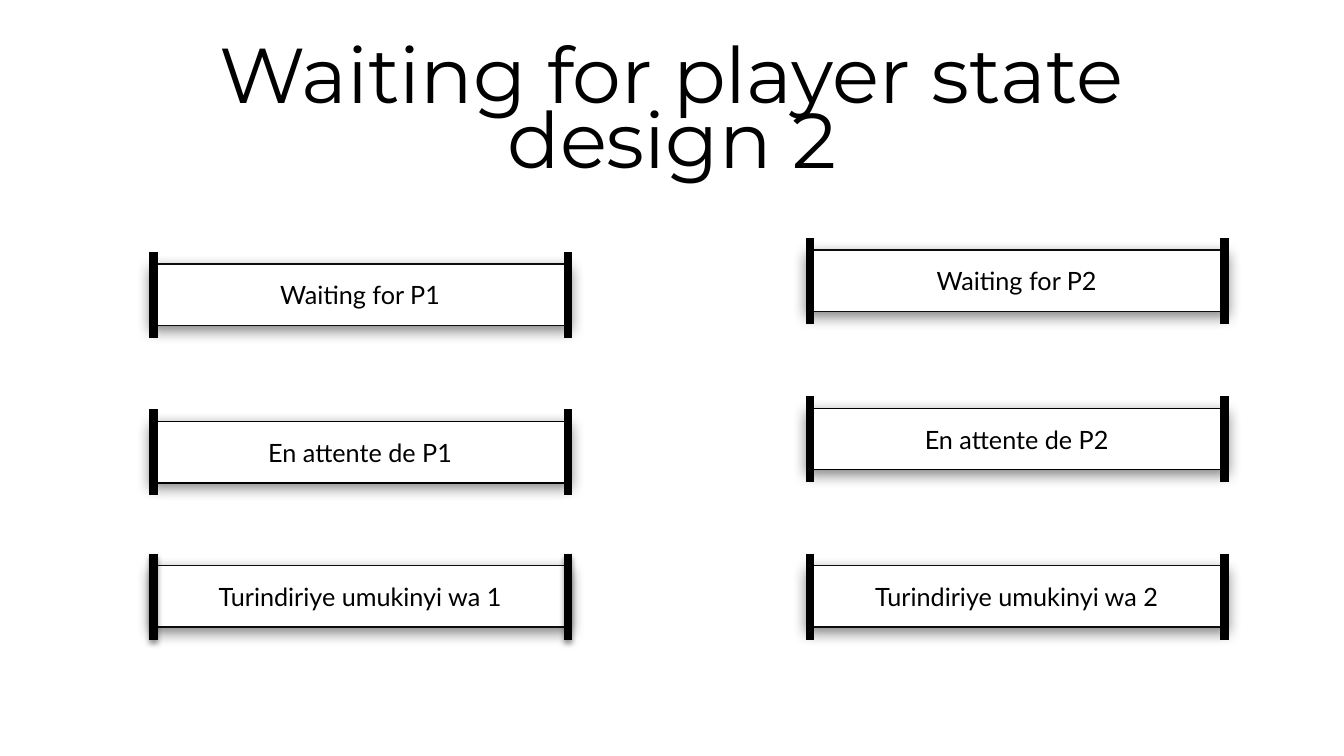
from pptx import Presentation, util as u
from pptx.dml.color import RGBColor
from pptx.enum import shapes, text
from pptx.oxml import ns, xmlchemy

Pt = u.Pt
COLORS = {"ink": "000000", "soft": "0D0D0D", "paper": "FFFFFF"}


class Deck:
    """Holds the style and the current slide."""

    body_font, title_font = "Lato", "Montserrat"

    def __init__(self, width, height):
        self.prs = Presentation()
        self.prs.slide_width, self.prs.slide_height = Pt(width), Pt(height)
        self.slide = self.prs.slides.add_slide(self.prs.slide_layouts[6])

    def color(self, name):
        return RGBColor.from_string(COLORS[name])

    def shadow(self, sp, blur=None, alpha=None):
        """Replace the theme shadow by none, or by one falling 3 pt down."""
        effects = xmlchemy.OxmlElement("a:effectLst")
        sp_pr = sp._element.spPr
        for old in sp_pr.findall(ns.qn("a:effectLst")):
            sp_pr.remove(old)
        sp_pr.append(effects)
        if blur:
            outer = xmlchemy.OxmlElement("a:outerShdw")
            for key, value in (("blurRad", Pt(blur)), ("dist", Pt(3)),
                               ("dir", 90 * 60000), ("rotWithShape", 0)):
                outer.set(key, str(value))
            clr = xmlchemy.OxmlElement("a:srgbClr")
            clr.set("val", COLORS["ink"])
            opacity = xmlchemy.OxmlElement("a:alpha")
            opacity.set("val", str(alpha * 1000))
            clr.append(opacity)
            outer.append(clr)
            effects.append(outer)

    def add_text(self, sp, words, size, font, anchor, spacing=None):
        tf = sp.text_frame
        tf.word_wrap, tf.vertical_anchor = True, anchor
        p = tf.paragraphs[0]
        p.alignment, p.line_spacing = text.PP_ALIGN.CENTER, spacing
        r = p.add_run()
        r.text = words
        r.font.size, r.font.name = Pt(size), font
        r.font.color.rgb = self.color("ink")

    def title(self, words, x, y, w, h):
        sp = self.slide.shapes.add_textbox(Pt(x), Pt(y), Pt(w), Pt(h))
        self.add_text(sp, words, 55.5, self.title_font,
                      text.MSO_ANCHOR.BOTTOM, 0.7)

    def panel(self, parent, words, x, y, w, h, outline):
        sp = parent.add_shape(shapes.MSO_SHAPE.ROUNDED_RECTANGLE,
                              Pt(x), Pt(y), Pt(w), Pt(h))
        sp.adjustments[0] = 0
        sp.fill.solid()
        sp.fill.fore_color.rgb = self.color("paper")
        sp.line.color.rgb, sp.line.width = self.color(outline), Pt(1)
        self.shadow(sp, blur=10, alpha=48)
        self.add_text(sp, words, 18, self.body_font, text.MSO_ANCHOR.MIDDLE)

    def post(self, parent, x, top, length, shaded):
        sp = parent.add_connector(shapes.MSO_CONNECTOR.STRAIGHT,
                                  Pt(x), Pt(top), Pt(x), Pt(top + length))
        sp.line.color.rgb, sp.line.width = self.color("ink"), Pt(6)
        if shaded:
            self.shadow(sp, blur=4, alpha=40)
        else:
            self.shadow(sp)

    def banner(self, words, x, y, outline, shaded_posts=False):
        """A panel held between two upright posts."""
        parent = self.slide.shapes.add_group_shape().shapes
        self.panel(parent, words, x, y, 300, 44, outline)
        for offset in (298.4, 2.5):
            self.post(parent, x + offset, y - 8.6, 61.5, shaded_posts)


deck = Deck(960, 540)

# Banners: one column per player, one row per language
messages = (("Waiting for P{}", "soft"),
            ("En attente de P{}", "ink"),
            ("Turindiriye umukinyi wa {}", "soft"))
columns = ((107.2, (188.6, 301, 404)), (576.2, (178.6, 291.6, 404)))
for player, (x, tops) in enumerate(columns, 1):
    for row, ((message, outline), y) in enumerate(zip(messages, tops)):
        deck.banner(message.format(player), x, y, outline,
                    shaded_posts=(player, row) == (1, 2))

# Title
deck.title("Waiting for player state design 2", 66, 28.8, 828, 104.4)

deck.prs.save("out.pptx")
